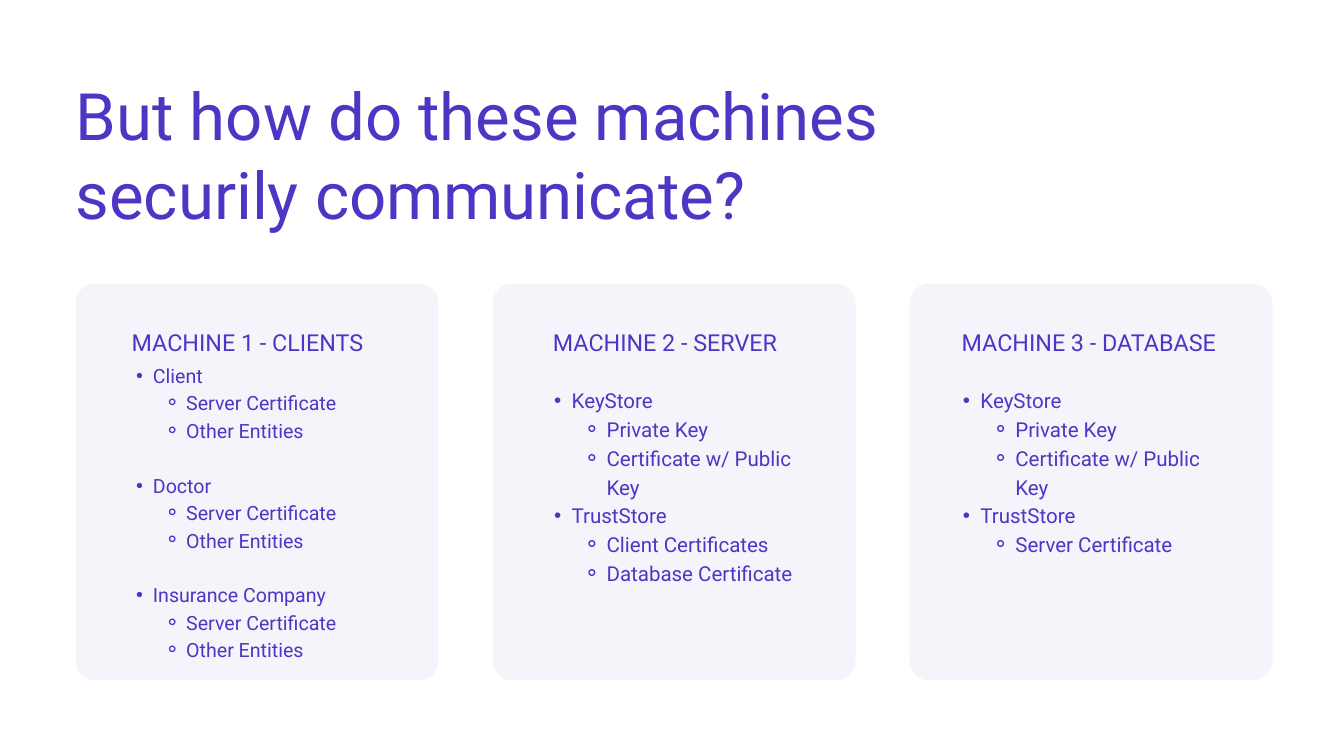
from lxml.etree import SubElement
from pptx import Presentation
from pptx.dml.color import RGBColor
from pptx.enum.shapes import MSO_SHAPE as Shape
from pptx.enum.text import MSO_ANCHOR as Anchor, MSO_AUTO_SIZE as AutoSize, PP_ALIGN as Align
from pptx.oxml.ns import qn
from pptx.util import Cm, Pt

PURPLE = RGBColor(0x50, 0x34, 0xC4)
WHITE = RGBColor(0xFF, 0xFF, 0xFF)

MARGIN = 2.86
CARD_TOP, CARD_WIDTH, CARD_HEIGHT = 10.72, 13.72, 15
CARD_PITCH = 15.76
TEXT_WIDTH = 10.36
HEADING_TOP = 12.22

TITLE = "But how do these machines securily communicate?"
CLIENT_STORE = ["Server Certificate", "Other Entities"]
SERVER_KEYS = ("KeyStore", ["Private Key", "Certificate w/ Public Key"])
MACHINES = [
    {
        "heading": "MACHINE 1 - CLIENTS", "heading_left": 4.98,
        "list_left": 4.52, "list_top": 13.61, "list_height": 11.33,
        "size": 21, "group_gap": 29.4,
        "groups": [(owner, CLIENT_STORE) for owner in ("Client", "Doctor", "Insurance Company")],
    },
    {
        "heading": "MACHINE 2 - SERVER", "heading_left": 20.9,
        "list_left": 20.29, "list_top": 14.53, "list_height": 7.57,
        "size": 22, "group_gap": 0,
        "groups": [SERVER_KEYS, ("TrustStore", ["Client Certificates", "Database Certificate"])],
    },
    {
        "heading": "MACHINE 3 - DATABASE", "heading_left": 36.35,
        "list_left": 35.74, "list_top": 14.53, "list_height": 6.48,
        "size": 22, "group_gap": 0,
        "groups": [SERVER_KEYS, ("TrustStore", ["Server Certificate"])],
    },
]

# Bullet character, left margin and hanging indent (cm per point of text size)
BULLETS = {1: ("•", 0.06, 0.03), 2: ("⚬", 0.12, 0.04)}


def set_attributes(target, values):
    for name, value in values.items():
        setattr(target, name, value)


class SlideBuilder:
    font = "Roboto"
    color = PURPLE
    card_opacity = 5
    card_rounding = 0.054

    def __init__(self, slide):
        self.slide = slide
        background = slide.background.fill
        background.solid()
        background.fore_color.rgb = WHITE

    def format_frame(self, frame, auto_size=AutoSize.NONE):
        set_attributes(frame, {
            "margin_left": 0, "margin_right": 0, "margin_top": 0, "margin_bottom": 0,
            "word_wrap": True, "vertical_anchor": Anchor.TOP, "auto_size": auto_size,
        })

    def fill_paragraph(self, paragraph, text, size, line_factor=1.4, space_before=0):
        paragraph.text = text
        set_attributes(paragraph, {
            "alignment": Align.LEFT, "line_spacing": Pt(size * line_factor),
            "space_before": Pt(space_before),
        })
        set_attributes(paragraph.runs[0].font, {"name": self.font, "size": Pt(size)})
        paragraph.runs[0].font.color.rgb = self.color

    def title(self, text, left, top, width, height):
        title = self.slide.shapes.title
        set_attributes(title, {
            "left": Cm(left), "top": Cm(top), "width": Cm(width), "height": Cm(height),
        })
        self.format_frame(title.text_frame)
        self.fill_paragraph(title.text_frame.paragraphs[0], text, 70, line_factor=1.2)

    def card(self, left, top, width, height):
        card = self.slide.shapes.add_shape(
            Shape.ROUNDED_RECTANGLE, Cm(left), Cm(top), Cm(width), Cm(height))
        card.adjustments[0] = self.card_rounding
        card.shadow.inherit = False
        card.line.fill.background()
        card.fill.solid()
        card.fill.fore_color.rgb = self.color
        color = card.fill._xPr.find(qn("a:solidFill"))[0]
        SubElement(color, qn("a:alpha"), val=str(self.card_opacity * 1000))

    def text_frame(self, left, top, width, height):
        box = self.slide.shapes.add_textbox(Cm(left), Cm(top), Cm(width), Cm(height))
        self.format_frame(box.text_frame, AutoSize.SHAPE_TO_FIT_TEXT)
        return box.text_frame

    def heading(self, text, left, top, width):
        frame = self.text_frame(left, top, width, 1.17)
        self.fill_paragraph(frame.paragraphs[0], text, 25)

    def bullet(self, paragraph, level, size):
        character, margin, hanging = BULLETS[level]
        paragraph.level = level
        properties = paragraph._p.get_or_add_pPr()
        properties.set("marL", str(Cm(margin * size)))
        properties.set("indent", str(-Cm(hanging * size)))
        SubElement(properties, qn("a:buFont"), typeface="Arial")
        SubElement(properties, qn("a:buChar"), char=character)

    def grouped_list(self, groups, left, top, width, height, size, group_gap):
        frame = self.text_frame(left, top, width, height)
        paragraph = frame.paragraphs[0]
        for index, (name, entries) in enumerate(groups):
            if index:
                paragraph = frame.add_paragraph()
            self.fill_paragraph(paragraph, name, size, space_before=group_gap if index else 0)
            self.bullet(paragraph, 1, size)
            for entry in entries:
                paragraph = frame.add_paragraph()
                self.fill_paragraph(paragraph, entry, size)
                self.bullet(paragraph, 2, size)


def main():
    presentation = Presentation()
    presentation.slide_width, presentation.slide_height = Cm(50.8), Cm(28.58)
    slide = presentation.slides.add_slide(presentation.slide_layouts[5])
    builder = SlideBuilder(slide)

    builder.title(TITLE, MARGIN, MARGIN, 37.92, 5.87)
    for column, machine in enumerate(MACHINES):
        builder.card(MARGIN + column * CARD_PITCH, CARD_TOP, CARD_WIDTH, CARD_HEIGHT)
        builder.heading(machine["heading"], machine["heading_left"], HEADING_TOP, TEXT_WIDTH)
        builder.grouped_list(
            machine["groups"], machine["list_left"], machine["list_top"], TEXT_WIDTH,
            machine["list_height"], machine["size"], machine["group_gap"])

    presentation.save("out.pptx")


if __name__ == "__main__":
    main()
